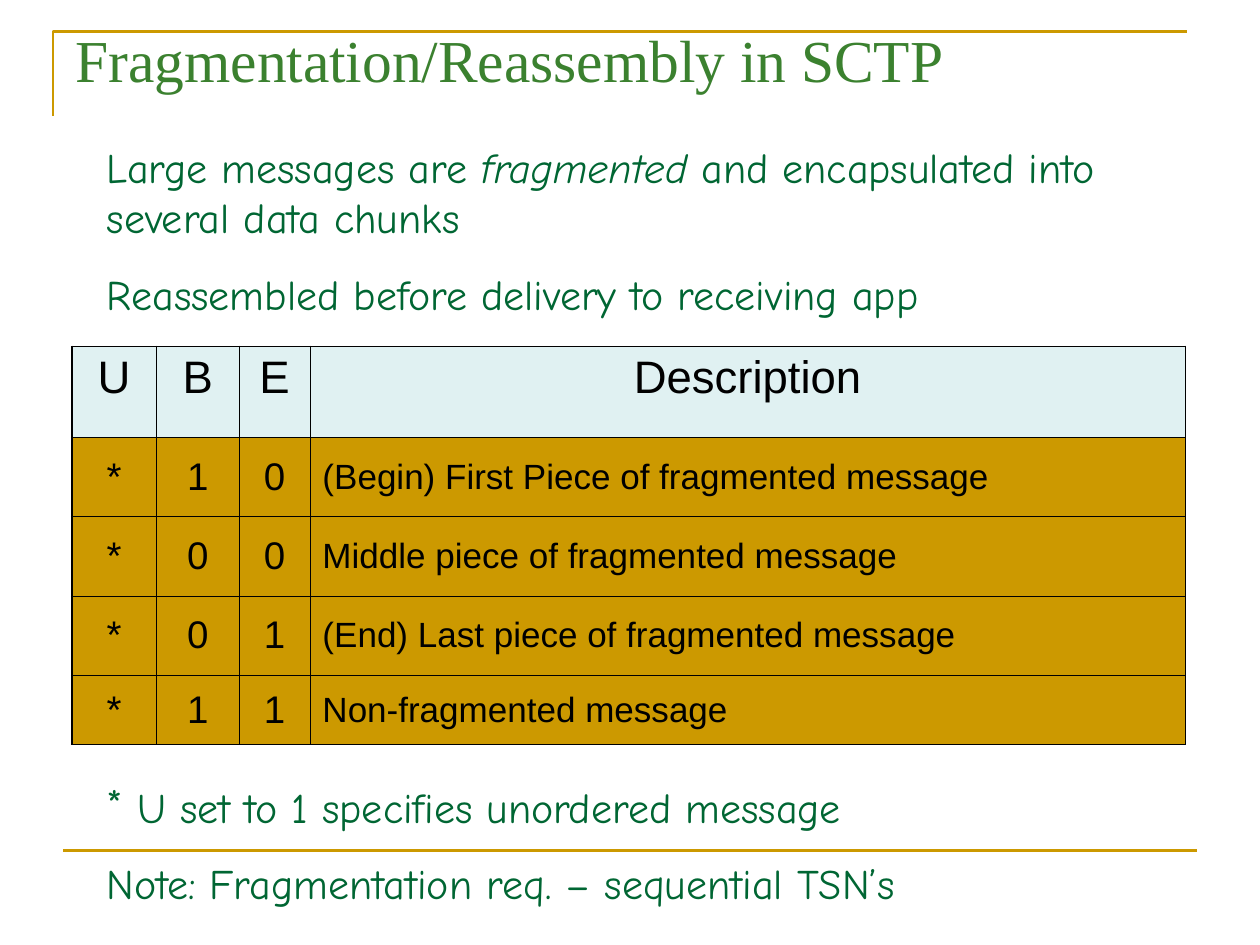
from lxml import etree
from pptx import Presentation
from pptx.dml.color import RGBColor
from pptx.enum.shapes import MSO_CONNECTOR
from pptx.enum.text import MSO_ANCHOR, PP_ALIGN
from pptx.oxml.ns import qn
from pptx.util import Inches, Pt

LINE = MSO_CONNECTOR.STRAIGHT
TOP, MIDDLE = MSO_ANCHOR.TOP, MSO_ANCHOR.MIDDLE
LEFT, CENTER = PP_ALIGN.LEFT, PP_ALIGN.CENTER
GOLD, PALE, BLACK = "CC9900", "E0F1F2", "000000"
LEAF, GREEN = "3B812F", "006633"
COLS = [0.67, 0.66, 0.56, 6.95]
HEIGHTS = [0.72, 0.63, 0.63, 0.63, 0.55]
ROWS = [
    ["U", "B", "E", "Description"],
    ["*", "1", "0", "(Begin) First Piece of fragmented message"],
    ["*", "0", "0", "Middle piece of fragmented message"],
    ["*", "0", "1", "(End) Last piece of fragmented message"],
    ["*", "1", "1", "Non-fragmented message"],
]


def color(code):
    """Turn a hex string into a colour."""
    return RGBColor.from_string(code)


def style(run, face, size, code, slant=False):
    """Format one run."""
    font = run.font
    font.name, font.size = face, Pt(size)
    font.bold, font.italic = False, slant
    font.color.rgb = color(code)


def add_title(slide, box, text):
    """Place and format the title placeholder."""
    title = slide.shapes.title
    title.left, title.top, title.width, title.height = map(Inches, box)
    frame = title.text_frame
    frame.text = text
    frame.vertical_anchor = TOP
    frame.margin_top = Inches(0.1)
    para = frame.paragraphs[0]
    para.alignment = LEFT
    style(para.runs[0], "Times New Roman", 34, LEAF)


def add_rules(slide, box):
    """Draw the corner rule and the foot rule."""
    left, top, width, height = map(Inches, box)
    path = slide.shapes.build_freeform(left, top + height)
    path.add_line_segments(
        [(left, top), (left + width, top)], close=False)
    corner = path.convert_to_shape()
    corner.shadow.inherit = False
    corner.fill.background()
    foot = slide.shapes.add_connector(
        LINE, Inches(0.5), Inches(6.75), Inches(9.5), Inches(6.75))
    etree.SubElement(foot._element.spPr, qn("a:effectLst"))
    for rule in (corner, foot):
        rule.line.color.rgb = color(GOLD)
        rule.line.width = Pt(1.5)


def add_notes(slide, box, paras):
    """Write green paragraphs, each a list of runs and their slant."""
    frame = slide.shapes.add_textbox(*map(Inches, box)).text_frame
    frame.word_wrap = True
    for i, parts in enumerate(paras):
        para = frame.add_paragraph() if i else frame.paragraphs[0]
        para.space_before = Pt(15)
        for text, slant in parts:
            run = para.add_run()
            run.text = text
            style(run, "Comic Neue", 24, GREEN, slant)
    return frame


def add_star(para):
    """Give a paragraph a star bullet."""
    props = para._p.get_or_add_pPr()
    gap = Inches(0.24)
    props.set("marL", str(gap))
    props.set("indent", str(-gap))
    tint = etree.SubElement(props, qn("a:buClr"))
    etree.SubElement(tint, qn("a:srgbClr"), val=GREEN)
    etree.SubElement(props, qn("a:buFont"), typeface="Comic Neue")
    etree.SubElement(props, qn("a:buChar"), char="*")


def add_edges(cell, outer):
    """Draw the cell borders, thicker on the outer sides."""
    props = cell._tc.get_or_add_tcPr()
    for side, thick in zip("LRTB", outer):
        width = Pt(1.08 if thick else 0.45)
        edge = etree.SubElement(props, qn("a:ln" + side), w=str(width))
        fill = etree.SubElement(edge, qn("a:solidFill"))
        etree.SubElement(fill, qn("a:srgbClr"), val=BLACK)


def add_flags(slide, box):
    """Build the table of flag values."""
    last, end = len(ROWS) - 1, len(COLS) - 1
    table = slide.shapes.add_table(
        len(ROWS), len(COLS), *map(Inches, box)).table
    for col, width in zip(table.columns, COLS):
        col.width = Inches(width)
    for r, texts in enumerate(ROWS):
        table.rows[r].height = Inches(HEIGHTS[r])
        for c, text in enumerate(texts):
            head, prose = r == 0, r > 0 and c == end
            size = 26 if head else 20 if prose else 22
            cell = table.cell(r, c)
            add_edges(cell, (c == 0, c == end, r == 0, r == last))
            cell.fill.solid()
            cell.fill.fore_color.rgb = color(PALE if head else GOLD)
            cell.vertical_anchor = TOP if head else MIDDLE
            cell.text_frame.text = text
            para = cell.text_frame.paragraphs[0]
            para.alignment = LEFT if prose else CENTER
            para.space_before = Pt(size / 4)
            style(para.runs[0], "Arial", size, BLACK)


def main():
    """Build and save the slide."""
    deck = Presentation()
    deck.slide_width, deck.slide_height = Inches(10), Inches(7.5)
    slide = deck.slides.add_slide(deck.slide_layouts[5])
    add_rules(slide, (0.42, 0.25, 9, 0.67))
    add_title(slide, (0.5, 0.08, 8.92, 1), "Fragmentation/Reassembly in SCTP")
    add_flags(slide, (0.57, 2.75, 8.84, 3.17))
    foot = add_notes(slide, (0.75, 6.15, 8.17, 1.11), [
        [("U set to 1 specifies unordered message", False)],
        [("Note: Fragmentation req. – sequential TSN’s", False)],
    ])
    add_star(foot.paragraphs[0])
    add_notes(slide, (0.75, 1.07, 8.17, 1.51), [
        [("Large messages are ", False), ("fragmented", True),
         (" and encapsulated into several data chunks", False)],
        [("Reassembled before delivery to receiving app", False)],
    ])
    deck.save("out.pptx")


if __name__ == "__main__":
    main()
